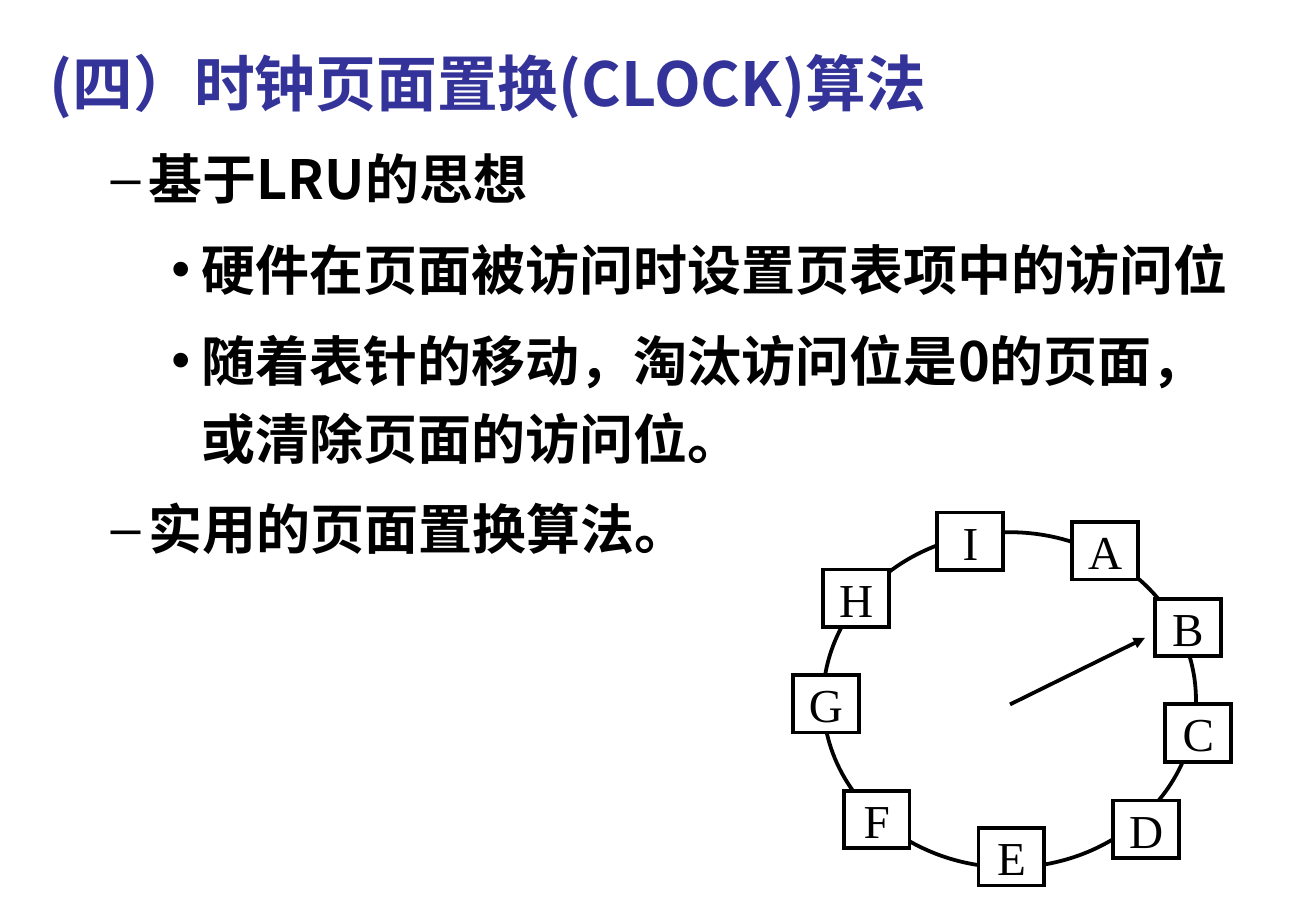
from dataclasses import dataclass

from lxml.etree import SubElement
from pptx import Presentation
from pptx.dml.color import RGBColor
from pptx.enum.shapes import MSO_CONNECTOR as CONN, MSO_SHAPE as SHAPE
from pptx.enum.text import MSO_ANCHOR as ANCHOR, MSO_AUTO_SIZE as FIT, PP_ALIGN as ALIGN
from pptx.oxml.ns import qn
from pptx.util import Cm, Pt


@dataclass(frozen=True)
class Theme:
    title_color: RGBColor = RGBColor(0x33, 0x33, 0x99)
    ink: RGBColor = RGBColor(0, 0, 0)
    paper: RGBColor = RGBColor(255, 255, 255)
    font: str = "Noto Sans CJK SC"
    label_font: str = "Times New Roman"
    title_size: int = 36
    body_size: int = 32
    label_size: int = 28
    line_width: float = 2.25
    line_spacing: float = 1.2


class ClockSlide:
    def __init__(self, prs, theme):
        self.theme = theme
        self.slide = prs.slides.add_slide(prs.slide_layouts[1])
        self.clock = self.slide.shapes.add_group_shape()

    def style_run(self, r, size, color, font, bold):
        r.font.size = Pt(size)
        r.font.color.rgb = color
        r.font.name = font
        r.font.bold = bold
        SubElement(r.font._element, qn("a:ea")).set("typeface", font)

    def place(self, sp, left, top, width, height):
        sp.left, sp.top, sp.width, sp.height = map(Cm, (left, top, width, height))
        tf = sp.text_frame
        tf.auto_size = FIT.NONE
        tf.word_wrap = True
        tf.vertical_anchor = ANCHOR.TOP
        return tf

    def title(self, text, *box):
        t = self.theme
        tf = self.place(self.slide.shapes.title, *box)
        tf.text = text
        p = tf.paragraphs[0]
        p.alignment = ALIGN.LEFT
        p.line_spacing = t.line_spacing
        self.style_run(p.runs[0], t.title_size, t.title_color, t.font, True)

    def bullets(self, items, *box):
        t = self.theme
        tf = self.place(self.slide.placeholders[1], *box)
        tf.text = "\n".join(text for _, _, text in items)
        for p, (level, before, _) in zip(tf.paragraphs, items):
            p.level = level
            p.line_spacing = t.line_spacing
            p.space_before = Pt(before)
            self.style_run(p.runs[0], t.body_size, t.ink, t.font, True)

    def outline(self, sp):
        sp.line.color.rgb = self.theme.ink
        sp.line.width = Pt(self.theme.line_width)
        ln = sp.line._get_or_add_ln()
        SubElement(ln, qn("a:miter")).set("lim", "800000")
        return ln

    def dial(self, *box):
        sp = self.clock.shapes.add_shape(SHAPE.OVAL, *map(Cm, box))
        sp.shadow.inherit = False
        sp.fill.background()
        self.outline(sp)

    def page(self, letter, left, top):
        t = self.theme
        sp = self.clock.shapes.add_shape(SHAPE.RECTANGLE, Cm(left), Cm(top), Cm(1.38), Cm(1.2))
        sp.shadow.inherit = False
        sp.fill.solid()
        sp.fill.fore_color.rgb = t.paper
        self.outline(sp)
        tf = sp.text_frame
        tf.word_wrap = False
        tf.vertical_anchor = ANCHOR.MIDDLE
        tf.margin_left = tf.margin_right = Cm(0.05)
        tf.margin_top = tf.margin_bottom = Cm(0.03)
        tf.text = letter
        p = tf.paragraphs[0]
        p.alignment = ALIGN.CENTER
        self.style_run(p.runs[0], t.label_size, t.ink, t.label_font, False)

    def hand(self, *ends):
        line = self.clock.shapes.add_connector(CONN.STRAIGHT, *map(Cm, ends))
        ln = self.outline(line)
        SubElement(ln, qn("a:tailEnd")).set("type", "triangle")
        SubElement(line._element.spPr, qn("a:effectLst"))


BULLETS = [
    (1, 0, "基于LRU的思想"),
    (2, 8, "硬件在页面被访问时设置页表项中的访问位"),
    (2, 8, "随着表针的移动，淘汰访问位是0的页面，或清除页面的访问位。"),
    (1, 7, "实用的页面置换算法。"),
]

PAGES = {
    "A": (22.43, 10.92),
    "B": (24.16, 12.52),
    "C": (24.38, 14.73),
    "D": (23.29, 16.74),
    "E": (20.47, 17.32),
    "F": (17.65, 16.54),
    "G": (16.59, 14.12),
    "H": (17.22, 11.91),
    "I": (19.61, 10.72),
}


def main():
    prs = Presentation()
    prs.slide_width, prs.slide_height = Cm(27.53), Cm(19.05)
    s = ClockSlide(prs, Theme())
    s.title("(四）时钟页面置换(CLOCK)算法", 0.79, 0.53, 25.4, 2.1)
    s.bullets(BULLETS, 0.79, 2.64, 25.4, 15.78)
    s.dial(17.22, 11.13, 7.8, 7.01)
    for letter, corner in PAGES.items():
        s.page(letter, *corner)
    s.hand(21.13, 14.73, 23.95, 13.34)
    prs.save("out.pptx")


if __name__ == "__main__":
    main()
